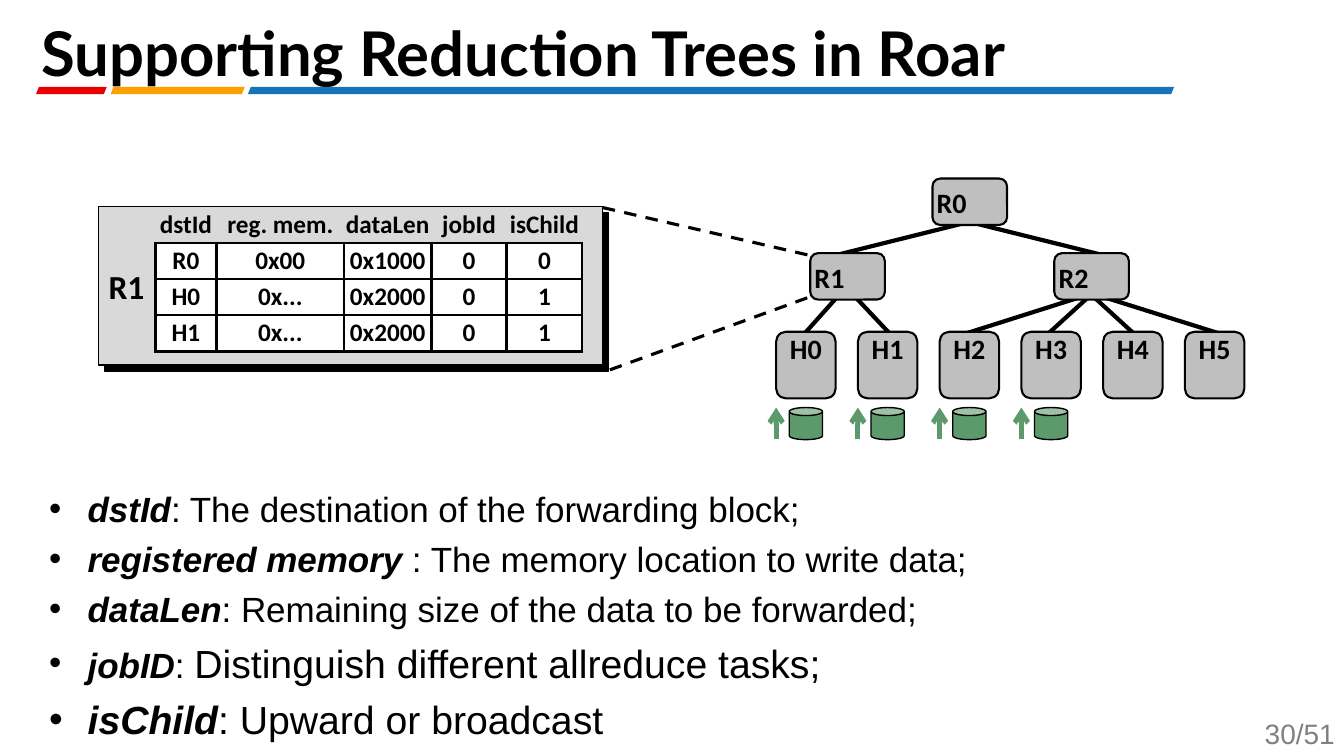
from lxml.etree import SubElement
from pptx import Presentation
from pptx.dml.color import RGBColor
from pptx.enum.dml import MSO_LINE
from pptx.enum.shapes import MSO_CONNECTOR, MSO_SHAPE
from pptx.enum.text import MSO_ANCHOR, PP_ALIGN
from pptx.oxml.ns import qn
from pptx.util import Cm, Pt

COLORS = {
    "black": "000000", "white": "FFFFFF", "page": "808080", "node": "BFBFBF",
    "panel": "D9D9D9", "green": "5D9A6B", "red": "EB0000", "orange": "FD9F02",
    "blue": "1674BA",
}
TITLE_FONT = {"name": "Lato", "size": Pt(44), "bold": True}
NODE_FONT = {"name": "Calibri", "size": Pt(20), "bold": True}
PANEL_FONT = {"name": "Calibri", "size": Pt(24), "bold": True}
TABLE_FONT = {"name": "Calibri", "size": Pt(18), "bold": True}
PAGE_FONT = {"name": "Arial", "size": Pt(20)}
NO_MARGINS = dict.fromkeys(
    ("margin_left", "margin_top", "margin_right", "margin_bottom"), 0)
FORWARDING_ROWS = [
    ("dstId", "reg. mem.", "dataLen", "jobId", "isChild"),
    ("R0", "0x00", "0x1000", "0", "0"),
    ("H0", "0x...", "0x2000", "0", "1"),
    ("H1", "0x...", "0x2000", "0", "1"),
]
COLUMN_WIDTHS = (1.55, 3.21, 2.2, 1.9, 1.9)
ROUTERS = {"R0": (3.94, 0), "R1": (0.86, 1.88), "R2": (7.01, 1.88)}
EDGES = [
    (4.78, 1.07, 8.36, 1.96), (4.95, 1.07, 1.3, 1.98),
    (7.85, 2.84, 9.27, 4.14), (8.05, 2.82, 6.38, 4.34),
    (1.55, 2.97, 0.23, 4.45), (2.01, 3, 3.3, 4.37),
    (7.98, 2.9, 11.51, 4.01), (8.13, 2.84, 4.19, 4.09),
]
DEFINITIONS = [
    [("dstId", 25, True), (": The destination of the forwarding block;", 25, False)],
    [("registered memory ", 25, True), (": The memory location to write data;", 25, False)],
    [("dataLen", 25, True), (": Remaining size of the data to be forwarded;", 25, False)],
    [("jobID", 25, True), (": ", 25, False),
     ("Distinguish different allreduce tasks;", 28, False)],
    [("isChild", 28, True), (": Upward or broadcast", 28, False)],
]


def rgb(name):
    """Return the named colour."""
    return RGBColor.from_string(COLORS[name])


def apply(target, values):
    """Set each attribute in values on the target."""
    for name, value in values.items():
        setattr(target, name, value)


def add_run(paragraph, text, font, color="black"):
    """Add one formatted run to a paragraph."""
    run = paragraph.add_run()
    run.text = text
    apply(run.font, font)
    run.font.color.rgb = rgb(color)


def write(frame, text, font, frame_format, alignment, color="black"):
    """Fill a text frame with one formatted line."""
    apply(frame, frame_format)
    paragraph = frame.paragraphs[0]
    paragraph.alignment = alignment
    add_run(paragraph, text, font, color)
    return paragraph


def add_frame(slide, box):
    """Add a wrapping text box and return its frame."""
    frame = slide.shapes.add_textbox(*map(Cm, box)).text_frame
    frame.word_wrap = True
    return frame


def add_block(slide, kind, box, fill, line_width=None):
    """Add a filled preset shape, outlined in black if a width is given."""
    shape = slide.shapes.add_shape(kind, *map(Cm, box))
    shape.shadow.inherit = False
    shape.fill.solid()
    shape.fill.fore_color.rgb = rgb(fill)
    if line_width:
        shape.line.color.rgb = rgb("black")
        shape.line.width = Pt(line_width)
    else:
        shape.line.fill.background()
    return shape


def add_line(slide, ends, color, width, dash=None):
    """Add a straight connector between two points."""
    connector = slide.shapes.add_connector(MSO_CONNECTOR.STRAIGHT, *map(Cm, ends))
    connector.line.color.rgb = rgb(color)
    connector.line.width = Pt(width)
    if dash:
        connector.line.dash_style = dash
    SubElement(connector._element.spPr, qn("a:effectLst"))
    return connector


def add_title(slide, left, top, width, height):
    """Place the title and the three coloured bars under it."""
    frame = add_frame(slide, (left, top, width, height))
    paragraph = write(frame, "Supporting Reduction Trees in Roar", TITLE_FONT,
                      NO_MARGINS | {"vertical_anchor": MSO_ANCHOR.BOTTOM}, PP_ALIGN.LEFT)
    paragraph.line_spacing = 0.6
    bars = [("red", -0.13, 1.78), ("orange", 1.75, 3.38), ("blue", 5.21, 23.34)]
    for color, offset, length in bars:
        bar = add_block(slide, MSO_SHAPE.PARALLELOGRAM,
                        (left + offset, top + height + 0.03, length, 0.18), color)
        bar.adjustments[0] = 0.4


def set_borders(cell, visible):
    """Give a cell black borders or none."""
    properties = cell._tc.get_or_add_tcPr()
    for side in ("lnL", "lnR", "lnT", "lnB"):
        border = SubElement(properties, qn(f"a:{side}"), w=str(Pt(2.25)))
        if visible or side == "lnB":
            fill = SubElement(border, qn("a:solidFill"))
            SubElement(fill, qn("a:srgbClr"), val=COLORS["black"])
        else:
            SubElement(border, qn("a:noFill"))


def add_forwarding_table(slide, left, top, width, height):
    """Place the panel of router R1 with its forwarding table."""
    for offset, color in ((0.15, "black"), (0, "panel")):
        add_block(slide, MSO_SHAPE.RECTANGLE,
                  (left + offset, top + offset, width, height), color, 1)
    write(add_frame(slide, (left + 0.05, top + 1.5, 1.3, 0.99)), "R1", PANEL_FONT,
          NO_MARGINS, PP_ALIGN.CENTER)
    row_height = 0.91
    box = (left + 1.42, top, sum(COLUMN_WIDTHS), row_height * len(FORWARDING_ROWS))
    table = slide.shapes.add_table(
        len(FORWARDING_ROWS), len(COLUMN_WIDTHS), *map(Cm, box)).table
    apply(table, {"first_row": False, "horz_banding": False})
    for column, column_width in zip(table.columns, COLUMN_WIDTHS):
        column.width = Cm(column_width)
    for row_index, values in enumerate(FORWARDING_ROWS):
        table.rows[row_index].height = Cm(row_height)
        for column_index, value in enumerate(values):
            cell = table.cell(row_index, column_index)
            apply(cell, NO_MARGINS | {"vertical_anchor": MSO_ANCHOR.MIDDLE})
            write(cell.text_frame, value, TABLE_FONT, {}, PP_ALIGN.CENTER)
            set_borders(cell, row_index > 0)
            if row_index:
                cell.fill.solid()
                cell.fill.fore_color.rgb = rgb("white")
            else:
                cell.fill.background()


def add_node(slide, name, box, frame_format, alignment):
    """Add one rounded tree node with its name."""
    node = add_block(slide, MSO_SHAPE.ROUNDED_RECTANGLE, box, "node", 1.5)
    write(node.text_frame, name, NODE_FONT, NO_MARGINS | frame_format, alignment)


def add_tree(slide, left, top):
    """Place the reduction tree of routers, hosts and data blocks."""
    for x1, y1, x2, y2 in EDGES:
        add_line(slide, (left + x1, top + y1, left + x2, top + y2), "black", 3)
    router_format = {"vertical_anchor": MSO_ANCHOR.TOP,
                     "margin_left": Cm(0.05), "margin_top": Cm(0.12)}
    for name, (x, y) in ROUTERS.items():
        add_node(slide, name, (left + x, top + y, 1.88, 1.17),
                 router_format, PP_ALIGN.LEFT)
    host_format = {"vertical_anchor": MSO_ANCHOR.BOTTOM, "margin_bottom": Cm(0.77)}
    for index in range(6):
        x = left + 2.06 * index
        add_node(slide, f"H{index}", (x, top + 3.86, 1.5, 1.68),
                 host_format, PP_ALIGN.CENTER)
        if index < 4:
            arrow = add_line(slide, (x, top + 6.55, x, top + 5.77), "green", 3.5)
            SubElement(arrow.line._get_or_add_ln(), qn("a:tailEnd"), type="arrow")
            add_block(slide, MSO_SHAPE.CAN, (x + 0.33, top + 5.77, 0.84, 0.81), "green", 1)


def add_definitions(slide, left, top, width, height):
    """Place the bulleted list of table fields."""
    frame = add_frame(slide, (left, top, width, height))
    for index, parts in enumerate(DEFINITIONS):
        paragraph = frame.add_paragraph() if index else frame.paragraphs[0]
        paragraph.line_spacing = 1.2
        properties = paragraph._p.get_or_add_pPr()
        apply_indent = {"marL": str(Cm(0.97)), "indent": str(Cm(-0.97))}
        for name, value in apply_indent.items():
            properties.set(name, value)
        SubElement(properties, qn("a:buFont"), typeface="Arial")
        SubElement(properties, qn("a:buChar"), char="•")
        for text, size, strong in parts:
            add_run(paragraph, text, {"name": "Arial", "size": Pt(size),
                                      "bold": strong, "italic": strong})


def main():
    """Build and save the slide."""
    presentation = Presentation()
    apply(presentation, {"slide_width": Cm(33.87), "slide_height": Cm(19.05)})
    slide = presentation.slides.add_slide(presentation.slide_layouts[6])
    add_title(slide, 1.04, 0, 31.88, 2.16)
    add_definitions(slide, 0.99, 11.94, 32.51, 6.88)
    add_forwarding_table(slide, 2.49, 5.21, 12.7, 3.99)
    for ends in ((15.19, 5.23, 20.47, 6.45), (15.37, 9.32, 20.52, 7.44)):
        add_line(slide, ends, "black", 2.25, MSO_LINE.DASH)
    add_tree(slide, 19.56, 4.5)
    write(add_frame(slide, (30.99, 17.93, 2.9, 1.12)), "30/51", PAGE_FONT, {},
          PP_ALIGN.RIGHT, "page")
    presentation.save("out.pptx")


if __name__ == "__main__":
    main()
